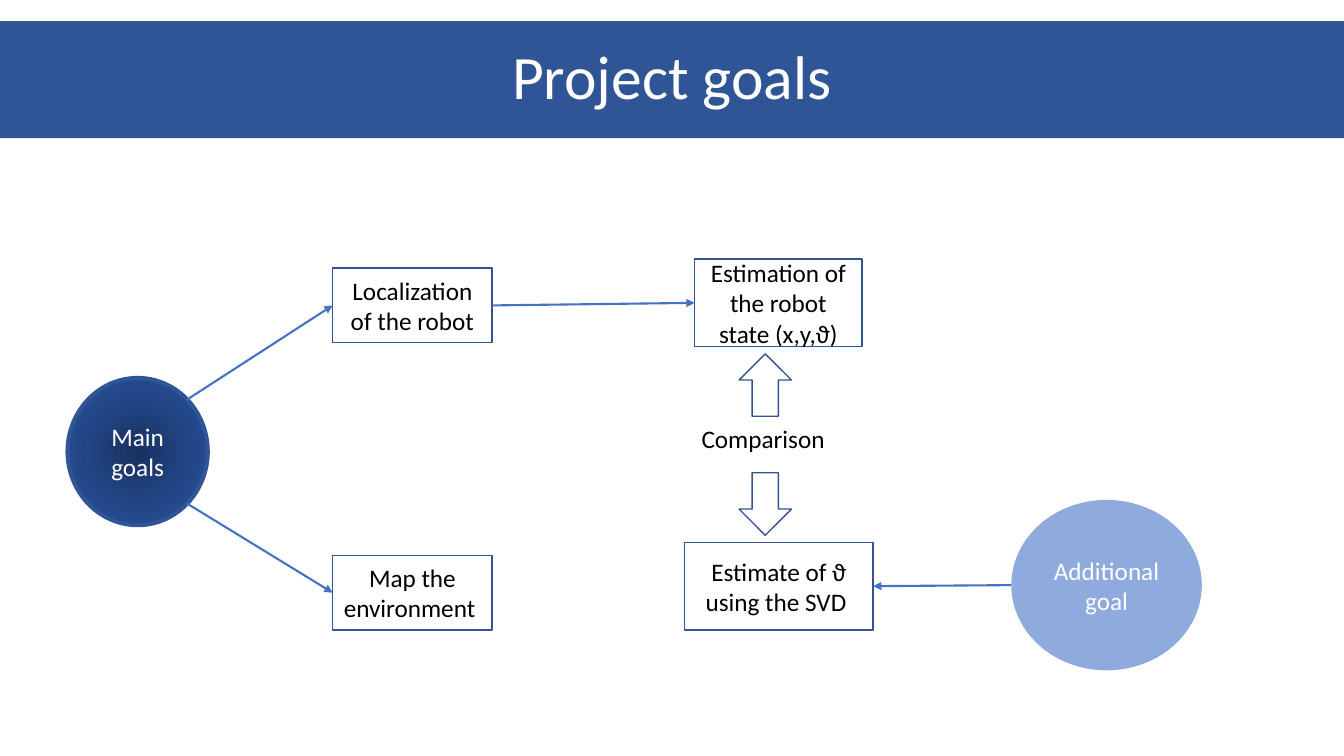
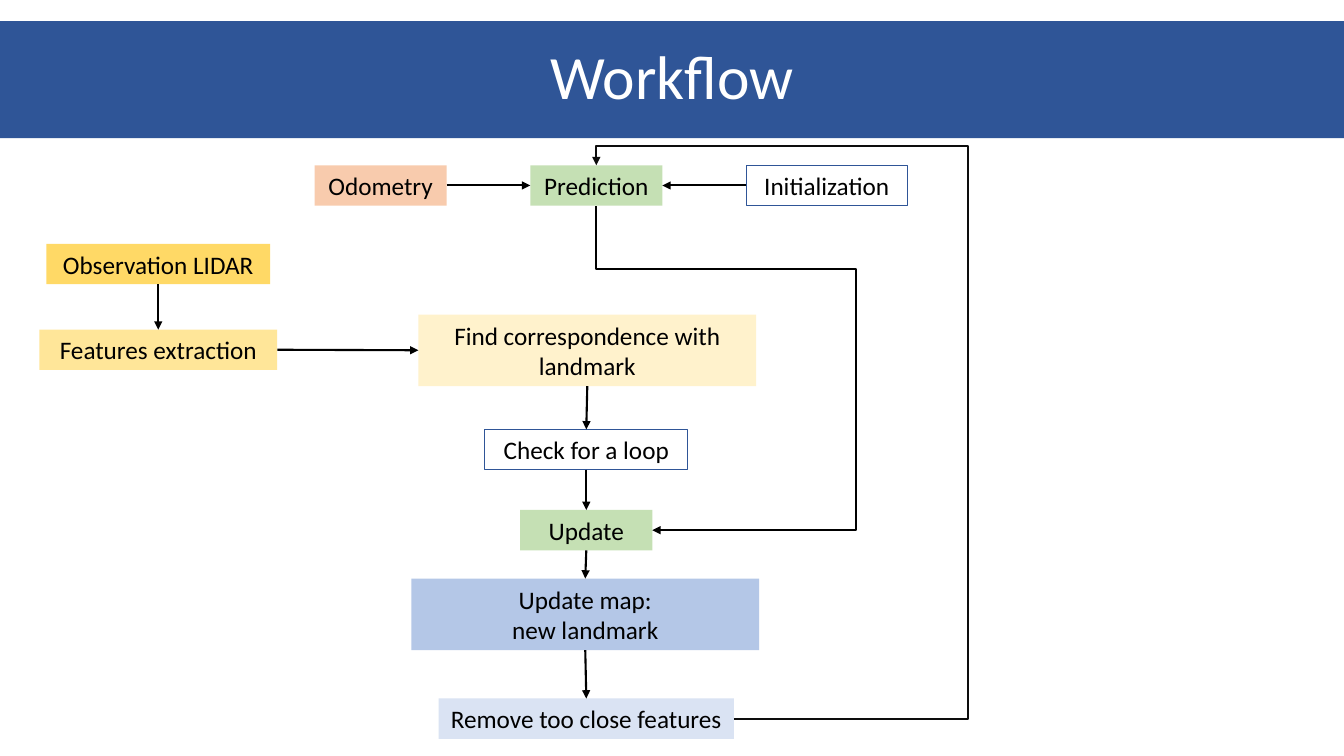
from collections import namedtuple
from math import cos, radians, sin

from lxml.etree import SubElement
from pptx import Presentation
from pptx.dml.color import RGBColor
from pptx.enum.shapes import MSO_CONNECTOR, MSO_SHAPE
from pptx.enum.text import MSO_ANCHOR, PP_ALIGN
from pptx.oxml.ns import qn
from pptx.util import Inches, Pt

Region = namedtuple("Region", "left top width height")

COLORS = {
    "navy": "2F5597", "outline": "325491", "blue": "4472C4", "periwinkle": "8FAADC",
    "sky": "B4C7E7", "mist": "DAE3F3", "green": "C5E0B4", "peach": "F8CBAD",
    "amber": "FFD966", "yellow": "FFE699", "cream": "FFF2CC",
    "white": "FFFFFF", "black": "000000", "ink": "0D0D0D",
    "core": "18315E", "mid": "224585", "rim": "28529E",
}
FONT = "Calibri"
BAND = Region(0, 0.21, 13.33, 1.16)
CONTENT = Region(0, 1.4, 13.33, 6.1)
TOP, LEFT, BOTTOM, RIGHT = range(4)


def rgb(name):
    return RGBColor.from_string(COLORS[name])


def inches(*lengths):
    return [Inches(length) for length in lengths]


def within(area, x, y, width, height):
    return inches(area.left + x, area.top + y, width, height)


def style_text(frame, size, color, align):
    frame.word_wrap = True
    for paragraph in frame.paragraphs:
        paragraph.alignment = align
        for run in paragraph.runs:
            run.font.name = FONT
            run.font.size = Pt(size)
            run.font.color.rgb = rgb(color)


def add_slide(deck, heading):
    slide = deck.slides.add_slide(deck.slide_layouts[5])
    title = slide.shapes.title
    title.left, title.top, title.width, title.height = inches(*BAND)
    title.fill.solid()
    title.fill.fore_color.rgb = rgb("navy")
    title.text_frame.text = heading
    title.text_frame.vertical_anchor = MSO_ANCHOR.MIDDLE
    title.text_frame.paragraphs[0].line_spacing = 0.9
    style_text(title.text_frame, 44, "white", PP_ALIGN.CENTER)
    return slide


def add_node(slide, box, text="", fill=None, line=None, line_width=1,
             color="black", kind=MSO_SHAPE.RECTANGLE):
    node = slide.shapes.add_shape(kind, *box)
    node.shadow.inherit = False
    if fill:
        node.fill.solid()
        node.fill.fore_color.rgb = rgb(fill)
    else:
        node.fill.background()
    if line:
        node.line.color.rgb = rgb(line)
        node.line.width = Pt(line_width)
    else:
        node.line.fill.background()
    if text:
        node.text_frame.text = text
        node.text_frame.vertical_anchor = MSO_ANCHOR.MIDDLE
        style_text(node.text_frame, 18, color, PP_ALIGN.CENTER)
    return node


def fill_radial(node, stops):
    node.fill.gradient()
    gradient = node._element.spPr.find(qn("a:gradFill"))
    gradient.clear()
    stop_list = SubElement(gradient, qn("a:gsLst"))
    for percent, name in stops:
        stop = SubElement(stop_list, qn("a:gs"), pos=str(percent * 1000))
        SubElement(stop, qn("a:srgbClr"), val=COLORS[name])
    radial = SubElement(gradient, qn("a:path"), path="circle")
    SubElement(radial, qn("a:fillToRect"), l="50000", t="50000", r="50000", b="50000")


def rim_point(ellipse, degrees):
    x = ellipse.left + ellipse.width / 2 * (1 + cos(radians(degrees)))
    y = ellipse.top + ellipse.height / 2 * (1 + sin(radians(degrees)))
    return int(x), int(y)


def style_connector(connector, color, arrow_end="a:tailEnd"):
    connector.line.color.rgb = rgb(color)
    connector.line.width = Pt(1.5)
    properties = connector._element.spPr
    SubElement(properties.find(qn("a:ln")), qn(arrow_end), type="triangle")
    SubElement(properties, qn("a:effectLst"))


def add_arrow(slide, begin, target, side, color):
    arrow = slide.shapes.add_connector(MSO_CONNECTOR.STRAIGHT, *begin, *begin)
    arrow.end_connect(target, side)
    style_connector(arrow, color)
    return arrow


def link(slide, source, source_side, target, target_side, color="black"):
    arrow = add_arrow(slide, (source.left, source.top), target, target_side, color)
    arrow.begin_connect(source, source_side)


def add_detour(slide, source, target, target_side, lane_x, lane_y, color, arrow_end):
    detour = slide.shapes.add_connector(
        MSO_CONNECTOR.ELBOW, source.left, source.top, target.left, target.top)
    detour.begin_connect(source, RIGHT)
    detour.end_connect(target, target_side)
    across = (detour.begin_x - lane_x) / (detour.begin_x - detour.end_x)
    along = (detour.begin_y - lane_y) / (detour.begin_y - detour.end_y)
    geometry = detour._element.spPr.find(qn("a:prstGeom"))
    geometry.set("prst", "bentConnector4")
    guides = geometry.find(qn("a:avLst"))
    if guides is None:
        guides = SubElement(geometry, qn("a:avLst"))
    for name, share in (("adj1", across), ("adj2", along)):
        SubElement(guides, qn("a:gd"), name=name, fmla=f"val {round(share * 100000)}")
    style_connector(detour, color, arrow_end)


def draw_goals(slide, area):
    def goal(text, *spot):
        return add_node(slide, within(area, *spot), text, line="navy")

    def circle(text, fill, line, *spot):
        return add_node(slide, within(area, *spot), text, fill, line, 3,
                        "white", MSO_SHAPE.OVAL)

    main_goals = circle("Main goals", "mid", "navy", 0.67, 2.35, 1.39, 1.46)
    fill_radial(main_goals, [(0, "core"), (50, "mid"), (100, "rim")])
    additional = circle("Additional goal", "periwinkle", None, 10.03, 3.56, 1.89, 1.69)
    localization = goal("Localization of the robot", 3.3, 1.26, 1.58, 0.74)
    mapping = goal("Map the environment ", 3.3, 4.11, 1.58, 0.74)
    estimation = goal("Estimation of the robot state (x,y,ϑ)", 6.89, 1.17, 1.66, 0.87)
    svd_estimate = goal("Estimate of ϑ using the SVD ", 6.79, 3.98, 1.87, 0.87)

    link(slide, localization, RIGHT, estimation, LEFT, "blue")
    for circle_goal, degrees, target, side in (
            (main_goals, -45, localization, LEFT),
            (main_goals, 45, mapping, LEFT),
            (additional, 180, svd_estimate, RIGHT)):
        add_arrow(slide, rim_point(circle_goal, degrees), target, side, "blue")

    comparison = slide.shapes.add_textbox(*within(area, 6.86, 2.75, 1.46, 0.4))
    comparison.text_frame.text = "Comparison"
    style_text(comparison.text_frame, 18, "black", PP_ALIGN.LEFT)
    for kind, y in ((MSO_SHAPE.UP_ARROW, 2.11), (MSO_SHAPE.DOWN_ARROW, 3.29)):
        add_node(slide, within(area, 7.33, y, 0.52, 0.62), line="outline", kind=kind)


def draw_workflow(slide, area):
    def step(text, fill, x, y, width, height=0.4):
        return add_node(slide, within(area, x, y, width, height), text, fill,
                        None if fill else "navy", 0.75)

    odometry = step("Odometry", "peach", 3.12, 0.24, 1.31)
    prediction = step("Prediction", "green", 5.26, 0.24, 1.31)
    initialization = step("Initialization", None, 7.4, 0.24, 1.6)
    observation = step("Observation LIDAR", "amber", 0.46, 1.02, 2.22)
    features = step("Features extraction", "yellow", 0.39, 1.87, 2.36)
    correspondence = step("Find correspondence with landmark", "cream",
                          4.15, 1.72, 3.35, 0.71)
    loop_check = step("Check for a loop", None, 4.81, 2.86, 2.01)
    update = step("Update", "green", 5.16, 3.66, 1.31)
    map_update = step("Update map:\nnew landmark", "sky", 4.08, 4.34, 3.45, 0.71)
    removal = step("Remove too close features", "mist", 4.35, 5.53, 2.93)

    link(slide, odometry, RIGHT, prediction, LEFT)
    link(slide, initialization, LEFT, prediction, RIGHT)
    link(slide, observation, BOTTOM, features, TOP)
    link(slide, features, RIGHT, correspondence, LEFT)
    chain = [correspondence, loop_check, update, map_update, removal]
    for upper, lower in zip(chain, chain[1:]):
        link(slide, upper, BOTTOM, lower, TOP)

    for source, side, x, y, color, arrow_end in (
            (removal, TOP, 9.6, 0.05, "ink", "a:tailEnd"),
            (update, BOTTOM, 8.49, 1.27, "black", "a:headEnd")):
        lane_x, lane_y = inches(area.left + x, area.top + y)
        add_detour(slide, source, prediction, side, lane_x, lane_y, color, arrow_end)


def main():
    deck = Presentation()
    deck.slide_width, deck.slide_height = inches(13.33, 7.5)
    draw_goals(add_slide(deck, "Project goals"), CONTENT)
    draw_workflow(add_slide(deck, "Workflow"), CONTENT)
    deck.save("out.pptx")


if __name__ == "__main__":
    main()
